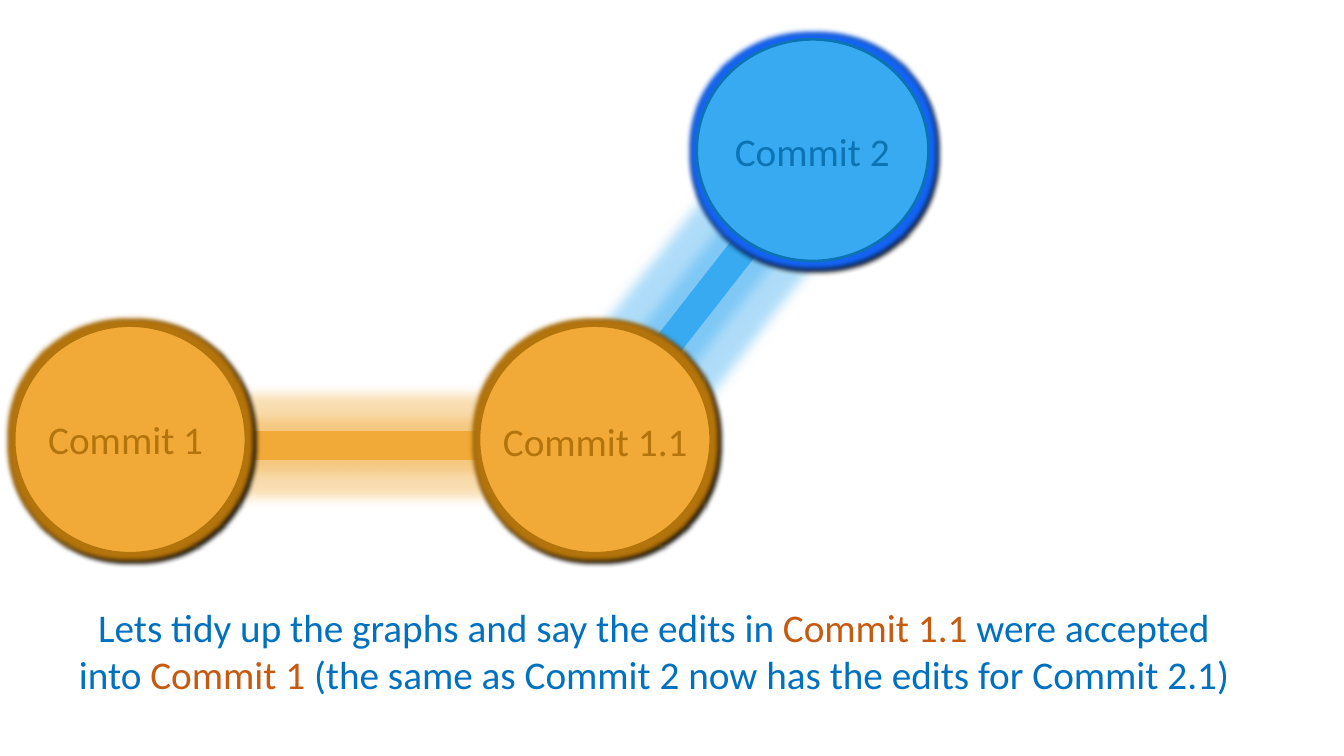
from lxml import etree
from pptx import Presentation
from pptx import util as u
from pptx.dml.color import RGBColor
from pptx.enum import shapes, text
from pptx.oxml import ns

THEME = dict(
    font="Calibri", size=28,
    orange="F1AA37", orange_dark="B4740C",
    blue="37AAF1", blue_dark="0C74B4", blue_glow="1464F4",
    body="0070C0", accent="C55A11", shadow="000000",
    band_line=4.5, band_glow=18, ring_line=2, ring_glow=8, shadow_dist=2.8,
)

prs = Presentation()
prs.slide_width, prs.slide_height = u.Inches(13.33), u.Inches(7.5)
s = prs.slides.add_slide(prs.slide_layouts[6])


def add_glowing(kind, box, fill, line, width, glow, radius, alpha=100, shadow=False, rotation=0):
    """Add a filled shape with a glow and, if asked, a hard shadow at 45 degrees."""
    sp = s.shapes.add_shape(kind, *[u.Inches(v) for v in box])
    sp.rotation = rotation
    sp.fill.solid()
    sp.fill.fore_color.rgb = RGBColor.from_string(THEME[fill])
    sp.line.color.rgb = RGBColor.from_string(THEME[line])
    sp.line.width = u.Pt(width)
    sp.shadow.inherit = False
    effects = sp.element.spPr.find(ns.qn("a:effectLst"))
    layers = [("a:glow", {"rad": u.Pt(radius)}, glow, alpha)]
    if shadow:
        offset = {"blurRad": 0, "dist": u.Pt(THEME["shadow_dist"]), "dir": 45 * 60000}
        layers.append(("a:outerShdw", offset, "shadow", 100))
    for tag, attrs, color, opacity in layers:
        layer = etree.SubElement(effects, ns.qn(tag), {k: str(int(v)) for k, v in attrs.items()})
        clr = etree.SubElement(layer, ns.qn("a:srgbClr"), val=THEME[color])
        etree.SubElement(clr, ns.qn("a:alpha"), val=str(opacity * 1000))


def add_text(runs, box, align=text.PP_ALIGN.LEFT):
    """Add a wrapping text box from (words, theme colour) pairs."""
    tf = s.shapes.add_textbox(*[u.Inches(v) for v in box]).text_frame
    tf.word_wrap = True
    p = tf.paragraphs[0]
    p.alignment = align
    for words, color in runs:
        r = p.add_run()
        r.text = words
        r.font.name, r.font.size = THEME["font"], u.Pt(THEME["size"])
        r.font.color.rgb = RGBColor.from_string(THEME[color])


# Branch bands
for left, top, color, rotation in [(2.41, 4.31, "orange", 0), (5.86, 2.71, "blue", 308)]:
    add_glowing(shapes.MSO_SHAPE.RECTANGLE, (left, top, 2.47, 0.22), color, color,
                THEME["band_line"], color, THEME["band_glow"], alpha=40, rotation=rotation)

# Commit circles
for left, top, height, fill, line, glow in [
    (6.91, 0.39, 2.2, "blue", "blue_dark", "blue_glow"),
    (4.75, 3.23, 2.26, "orange", "orange_dark", "orange_dark"),
    (0.14, 3.23, 2.26, "orange", "orange_dark", "orange_dark"),
]:
    add_glowing(shapes.MSO_SHAPE.OVAL, (left, top, 2.3, height), fill, line,
                THEME["ring_line"], glow, THEME["ring_glow"], shadow=True)

# Commit labels
for label, color, box in [
    ("Commit 1", "orange_dark", (0.38, 4.07, 1.91, 0.57)),
    ("Commit 1.1", "orange_dark", (4.89, 4.09, 2.04, 0.88)),
    ("Commit 2", "blue_dark", (7.19, 1.21, 2.23, 0.57)),
]:
    add_text([(label, color)], box)

# Caption
add_text([
    ("Lets tidy up the graphs and say the edits in ", "body"),
    ("Commit 1.1 ", "accent"),
    ("were accepted into ", "body"),
    ("Commit 1", "accent"),
    (" (the same as Commit 2 now has the edits for Commit 2.1)", "body"),
], (0.62, 5.94, 11.73, 1.04), text.PP_ALIGN.CENTER)

prs.save("out.pptx")
